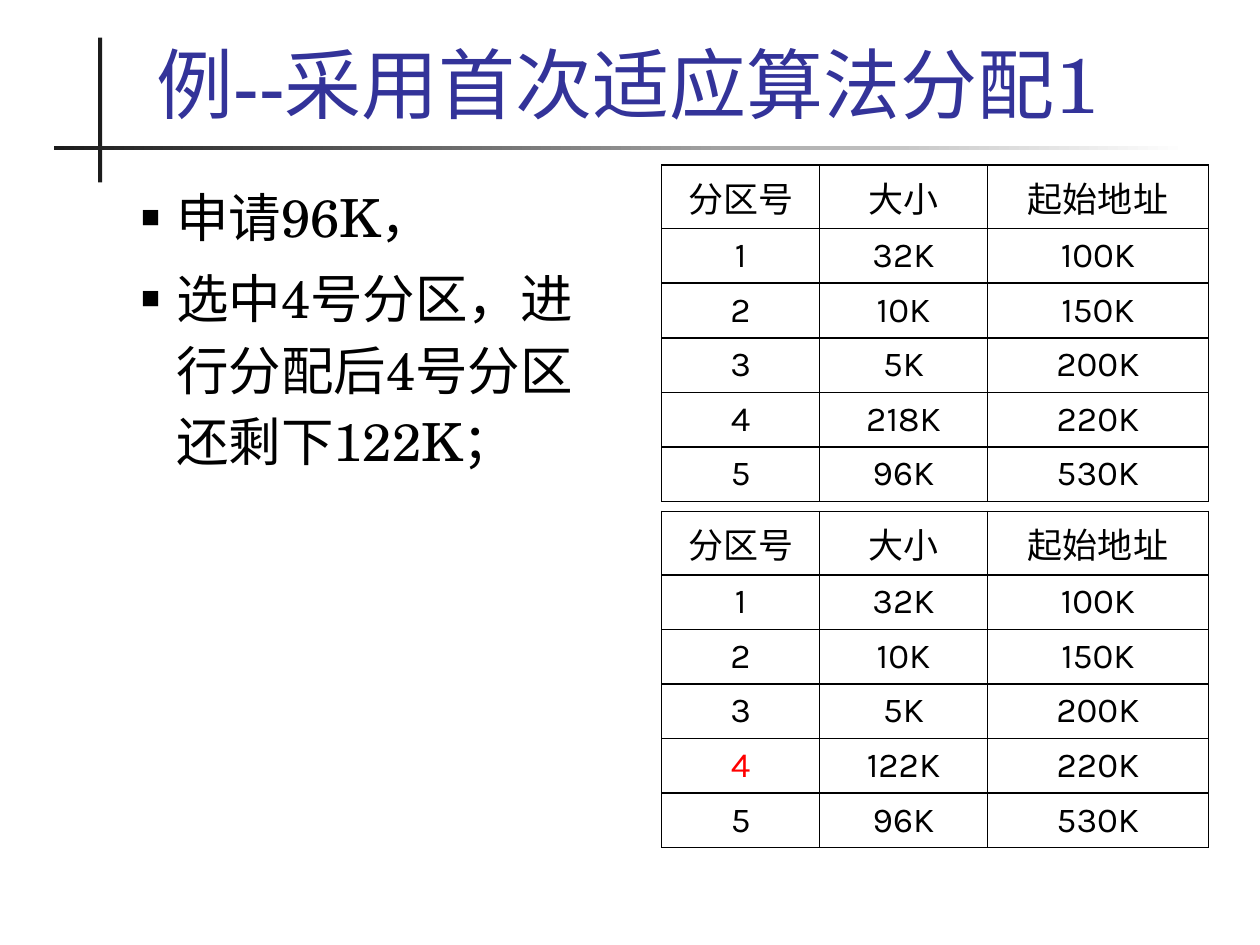
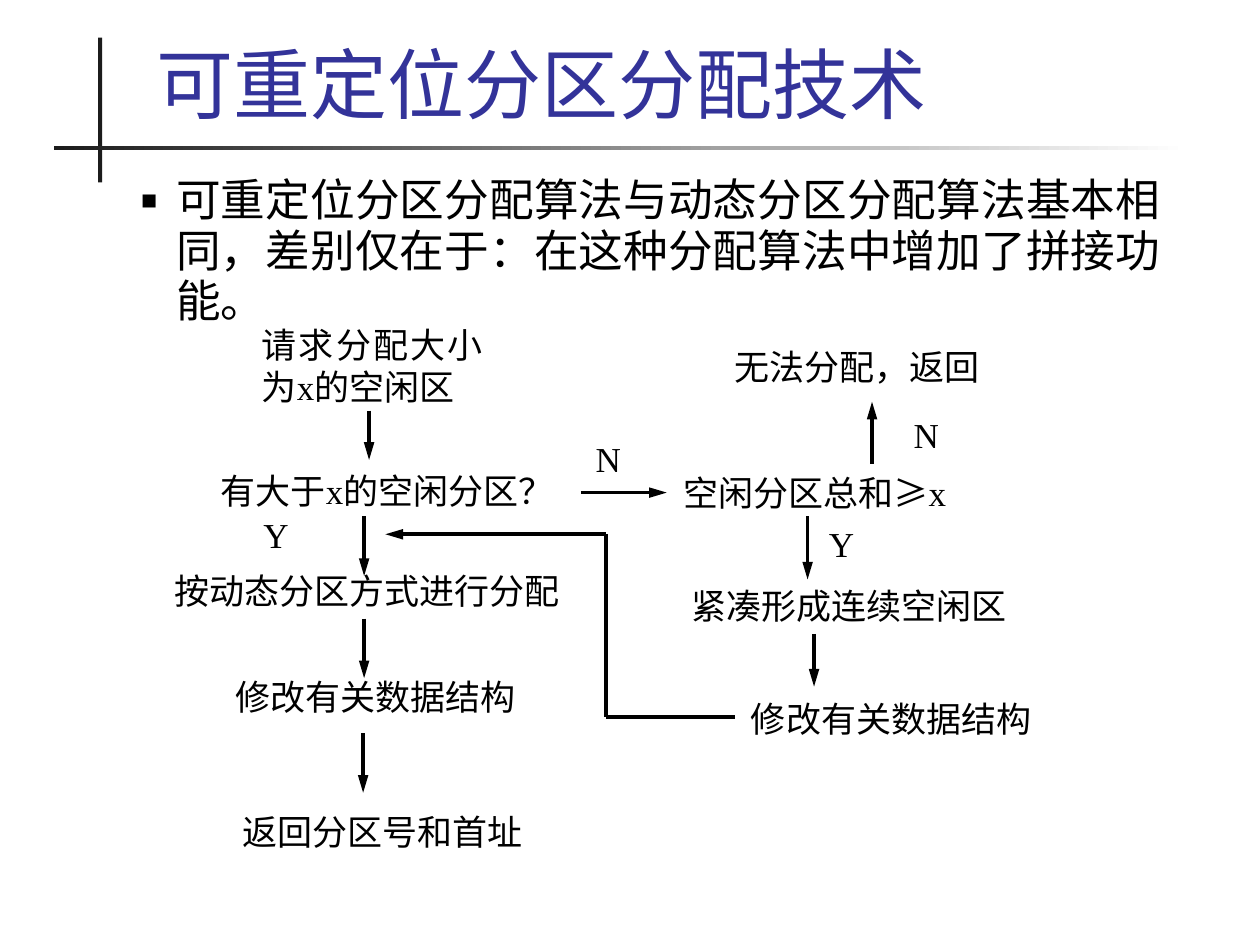
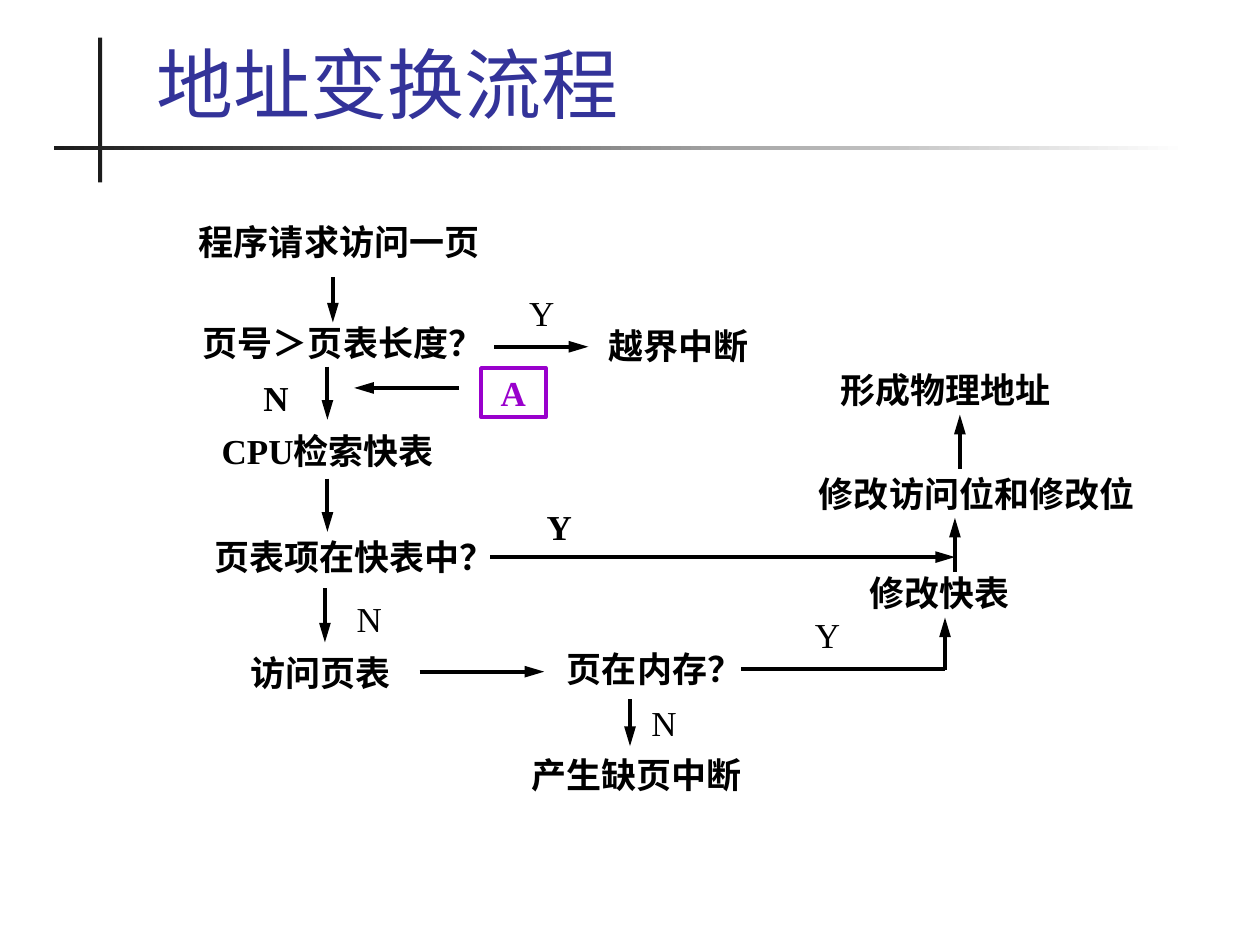
from lxml import etree
from pptx import Presentation
from pptx.dml.color import RGBColor
from pptx.enum.shapes import MSO_CONNECTOR, MSO_SHAPE
from pptx.enum.text import MSO_ANCHOR, MSO_AUTO_SIZE, PP_ALIGN
from pptx.oxml.ns import qn
from pptx.util import Cm, Pt

STRAIGHT = MSO_CONNECTOR.STRAIGHT
RECT = MSO_SHAPE.RECTANGLE
TOP, MIDDLE, BOTTOM = MSO_ANCHOR.TOP, MSO_ANCHOR.MIDDLE, MSO_ANCHOR.BOTTOM
LEFT, CENTER, JUSTIFY = PP_ALIGN.LEFT, PP_ALIGN.CENTER, PP_ALIGN.JUSTIFY
NO_AUTOFIT = MSO_AUTO_SIZE.NONE

COLORS = {"text": "000000", "title": "333399", "band": "1C1C1C",
          "paper": "FFFFFF", "changed": "FF0000", "entry": "9900CC"}
HEAD_FONT, TABLE_FONT, FLOW_FONT = "TeX Gyre Schola", "Karla", "Times New Roman"
TITLE_ONLY, TITLE_AND_BODY = 5, 1

HEADER = ["分区号", "大小", "起始地址"]
FREE_PARTITIONS = [["1", "32K", "100K"], ["2", "10K", "150K"], ["3", "5K", "200K"],
                   ["4", "218K", "220K"], ["5", "96K", "530K"]]
COLUMN_WIDTHS = [3.18, 3.39, 4.45]
HEADER_HEIGHT, ROW_HEIGHT = 1.27, 1.1

# Flow texts: left, top, width, height, text
RELOCATION_STEPS = [
    (5.28, 6.53, 4.45, 1.7, "请求分配大小为x的空闲区"),
    (4.45, 9.47, 7.19, 0.91, "有大于x的空闲分区？"),
    (13.77, 9.5, 5.72, 1.14, "空闲分区总和≥x"),
    (3.51, 11.48, 8.36, 1.22, "按动态分区方式进行分配"),
    (13.94, 11.79, 6.81, 1.14, "紧凑形成连续空闲区"),
    (4.75, 13.61, 6.05, 0.91, "修改有关数据结构"),
    (15.14, 14.07, 6.45, 1.17, "修改有关数据结构"),
    (4.88, 16.33, 6.15, 1.4, "返回分区号和首址"),
    (14.81, 6.96, 5.56, 1.14, "无法分配，返回"),
    (12.01, 8.81, 0.94, 1.12, "N"),
    (5.31, 10.36, 0.97, 1.19, "Y"),
    (16.71, 10.54, 0.94, 1.12, "Y"),
    (18.42, 8.33, 0.94, 1.19, "N"),
]
# Lines: start x, start y, end x, end y
RELOCATION_ARROWS = [
    (7.44, 8.28, 7.44, 9.27), (11.71, 9.93, 13.44, 9.93),
    (7.34, 10.41, 7.34, 11.61), (16.41, 12.78, 16.41, 13.84),
    (16.28, 10.41, 16.28, 11.68), (17.58, 9.35, 17.58, 8.1),
    (7.34, 12.47, 7.34, 13.67), (7.32, 14.78, 7.32, 15.98),
    (12.22, 10.77, 7.77, 10.77),
]
RELOCATION_LINES = [(14.81, 14.45, 12.22, 14.45), (12.22, 14.45, 12.22, 10.77)]

ADDRESS_STEPS = [
    (4.01, 4.45, 6.43, 1.07, "程序请求访问一页"),
    (4.09, 6.48, 7.14, 0.94, "页号＞页表长度？"),
    (12.27, 6.55, 3.89, 0.94, "越界中断"),
    (5.31, 7.59, 1.04, 1.09, "N"),
    (4.47, 8.66, 4.83, 0.86, "CPU检索快表"),
    (4.32, 10.8, 5.84, 1.07, "页表项在快表中？"),
    (11.02, 10.19, 1.04, 1.02, "Y"),
    (5.05, 13.13, 3.61, 0.84, "访问页表"),
    (11.43, 13.06, 3.81, 0.91, "页在内存？"),
    (10.72, 15.19, 4.52, 0.91, "产生缺页中断"),
    (17.53, 11.53, 3, 0.74, "修改快表"),
    (16.51, 9.53, 6.99, 0.84, "修改访问位和修改位"),
    (16.94, 7.42, 4.85, 0.84, "形成物理地址"),
]
ADDRESS_BRANCH_LABELS = [
    (10.67, 5.87, 1.04, 1.02, "Y"), (7.19, 12.04, 1.04, 1.09, "N"),
    (13.13, 14.15, 0.84, 0.86, "N"), (16.43, 12.37, 1.04, 1.02, "Y"),
]
ADDRESS_ARROWS = [
    (6.71, 5.59, 6.71, 6.5), (9.96, 6.99, 11.86, 6.99),
    (6.6, 7.39, 6.6, 8.46), (9.25, 7.82, 7.14, 7.82),
    (6.6, 9.65, 6.6, 10.72), (9.88, 11.23, 19.25, 11.23),
    (6.55, 11.86, 6.55, 12.95), (8.46, 13.54, 10.97, 13.54),
    (12.7, 14.1, 12.7, 15.04), (19.05, 13.51, 19.05, 12.45),
    (19.25, 11.53, 19.25, 10.44), (19.35, 9.45, 19.35, 8.36),
]
ADDRESS_LINES = [(14.94, 13.49, 19.05, 13.49)]


def rgb(name):
    return RGBColor.from_string(COLORS[name])


def add_xml(parent, tag, **attributes):
    return etree.SubElement(parent, qn(tag), attributes)


def add_run(p, text, size, font, color="text", bold=False):
    r = p.add_run()
    r.text = text
    r.font.size, r.font.name, r.font.bold = Pt(size), font, bold
    r.font.color.rgb = rgb(color)


def place(s, left, top, width, height):
    s.left, s.top, s.width, s.height = Cm(left), Cm(top), Cm(width), Cm(height)


def add_master_bands(prs, slide):
    """Shapes can only be made on a slide, so they are moved to the master."""
    vertical = slide.shapes.add_shape(RECT, Cm(1.98), Cm(0.76), Cm(0.08), Cm(2.92))
    horizontal = slide.shapes.add_shape(RECT, Cm(1.09), Cm(2.95), Cm(22.86), Cm(0.08))
    vertical.fill.solid()
    vertical.fill.fore_color.rgb = rgb("band")
    horizontal.fill.gradient()
    horizontal.fill.gradient_angle = 0
    for stop, color in zip(horizontal.fill.gradient_stops, ("band", "paper")):
        stop.color.rgb = rgb(color)
        stop.position = 0 if color == "band" else 1
    for number, s in enumerate((vertical, horizontal), start=21):
        s.shadow.inherit = False
        s.line.fill.background()
        s.element.nvSpPr.cNvPr.set("id", str(number))
        prs.slide_master.shapes.element.append(s.element)


def add_titled_slide(prs, layout, title):
    slide = prs.slides.add_slide(prs.slide_layouts[layout])
    s = slide.shapes.title
    place(s, 2.9, 0.64, 21.82, 2.08)
    tf = s.text_frame
    tf.auto_size, tf.vertical_anchor = NO_AUTOFIT, BOTTOM
    p = tf.paragraphs[0]
    p.alignment = LEFT
    add_run(p, title, 44, HEAD_FONT, "title")
    return slide


def add_bullet(p):
    pPr = p._p.get_or_add_pPr()
    pPr.set("marL", str(Cm(0.71)))
    pPr.set("indent", str(-Cm(0.71)))
    add_xml(add_xml(pPr, "a:buClr"), "a:srgbClr", val=COLORS["text"])
    add_xml(pPr, "a:buSzPct", val="60000")
    add_xml(pPr, "a:buChar", char="■")


def fill_body(slide, box, items, size, spacing):
    s = slide.placeholders[1]
    place(s, *box)
    tf = s.text_frame
    tf.auto_size, tf.vertical_anchor = NO_AUTOFIT, TOP
    for i, item in enumerate(items):
        p = tf.add_paragraph() if i else tf.paragraphs[0]
        add_bullet(p)
        p.line_spacing = spacing
        p.space_before = Pt(5 if i else 0)
        add_run(p, item, size, HEAD_FONT)


def add_borders(cell):
    tcPr = cell._tc.get_or_add_tcPr()
    for side in ("a:lnL", "a:lnR", "a:lnT", "a:lnB"):
        ln = add_xml(tcPr, side, w=str(Pt(1)))
        add_xml(add_xml(ln, "a:solidFill"), "a:srgbClr", val=COLORS["text"])


def add_partition_table(slide, top, partitions, changed=None):
    rows = [HEADER] + partitions
    heights = [HEADER_HEIGHT] + [ROW_HEIGHT] * len(partitions)
    table = slide.shapes.add_table(len(rows), len(HEADER), Cm(13.34), Cm(top),
                                   Cm(sum(COLUMN_WIDTHS)), Cm(sum(heights))).table
    table.first_row = table.horz_banding = False
    for column, width in zip(table.columns, COLUMN_WIDTHS):
        column.width = Cm(width)
    for row, height, texts in zip(table.rows, heights, rows):
        row.height = Cm(height)
        for cell, text in zip(row.cells, texts):
            add_borders(cell)
            cell.fill.background()
            cell.vertical_anchor = MIDDLE
            p = cell.text_frame.paragraphs[0]
            p.alignment = CENTER
            add_run(p, text, 20, TABLE_FONT, "changed" if text == changed else "text")


def set_flow_text(s, text, alignment, color="text", bold=False):
    tf = s.text_frame
    tf.word_wrap = True
    tf.margin_left = tf.margin_right = tf.margin_top = tf.margin_bottom = 0
    p = tf.paragraphs[0]
    p.alignment = alignment
    add_run(p, text, 20, FLOW_FONT, color, bold)


def add_flow_texts(slide, steps, bold=False):
    for *box, text in steps:
        s = slide.shapes.add_textbox(*map(Cm, box))
        set_flow_text(s, text, JUSTIFY, bold=bold)


def add_flow_lines(slide, lines, width, arrow=True):
    for ends in lines:
        c = slide.shapes.add_connector(STRAIGHT, *map(Cm, ends))
        c.line.color.rgb = rgb("text")
        c.line.width = Pt(width)
        if arrow:
            add_xml(c.line._get_or_add_ln(), "a:tailEnd", type="triangle", w="med", len="lg")
        add_xml(c.element.spPr, "a:effectLst")


def add_entry_mark(slide):
    s = slide.shapes.add_shape(RECT, Cm(9.7), Cm(7.42), Cm(1.3), Cm(0.99))
    s.shadow.inherit = False
    s.fill.background()
    s.line.color.rgb = rgb("entry")
    s.line.width = Pt(2.25)
    s.text_frame.vertical_anchor = MIDDLE
    set_flow_text(s, "A", CENTER, "entry", bold=True)


def add_first_fit_slide(prs):
    slide = add_titled_slide(prs, TITLE_AND_BODY, "例--采用首次适应算法分配1")
    add_master_bands(prs, slide)
    fill_body(slide, (2.59, 3.43, 10.11, 13.59),
              ["申请96K，", "选中4号分区，进行分配后4号分区还剩下122K；"], 30, 1.14)
    after = [["4", "122K", "220K"] if row[0] == "4" else row for row in FREE_PARTITIONS]
    add_partition_table(slide, 3.33, FREE_PARTITIONS)
    add_partition_table(slide, 10.31, after, changed="4")


def add_relocation_slide(prs):
    slide = add_titled_slide(prs, TITLE_AND_BODY, "可重定位分区分配技术")
    fill_body(slide, (2.59, 3.43, 21.59, 3.48),
              ["可重定位分区分配算法与动态分区分配算法基本相同，"
               "差别仅在于：在这种分配算法中增加了拼接功能。"], 25.5, 0.94)
    add_flow_texts(slide, RELOCATION_STEPS)
    add_flow_lines(slide, RELOCATION_ARROWS, 2)
    add_flow_lines(slide, RELOCATION_LINES, 2, arrow=False)


def add_address_slide(prs):
    slide = add_titled_slide(prs, TITLE_ONLY, "地址变换流程")
    add_flow_texts(slide, ADDRESS_STEPS, bold=True)
    add_flow_texts(slide, ADDRESS_BRANCH_LABELS)
    add_flow_lines(slide, ADDRESS_ARROWS, 2.25)
    add_flow_lines(slide, ADDRESS_LINES, 2.25, arrow=False)
    add_entry_mark(slide)


def main():
    prs = Presentation()
    prs.slide_width, prs.slide_height = Cm(25.4), Cm(19.05)
    add_first_fit_slide(prs)
    add_relocation_slide(prs)
    add_address_slide(prs)
    prs.save("out.pptx")


if __name__ == "__main__":
    main()
